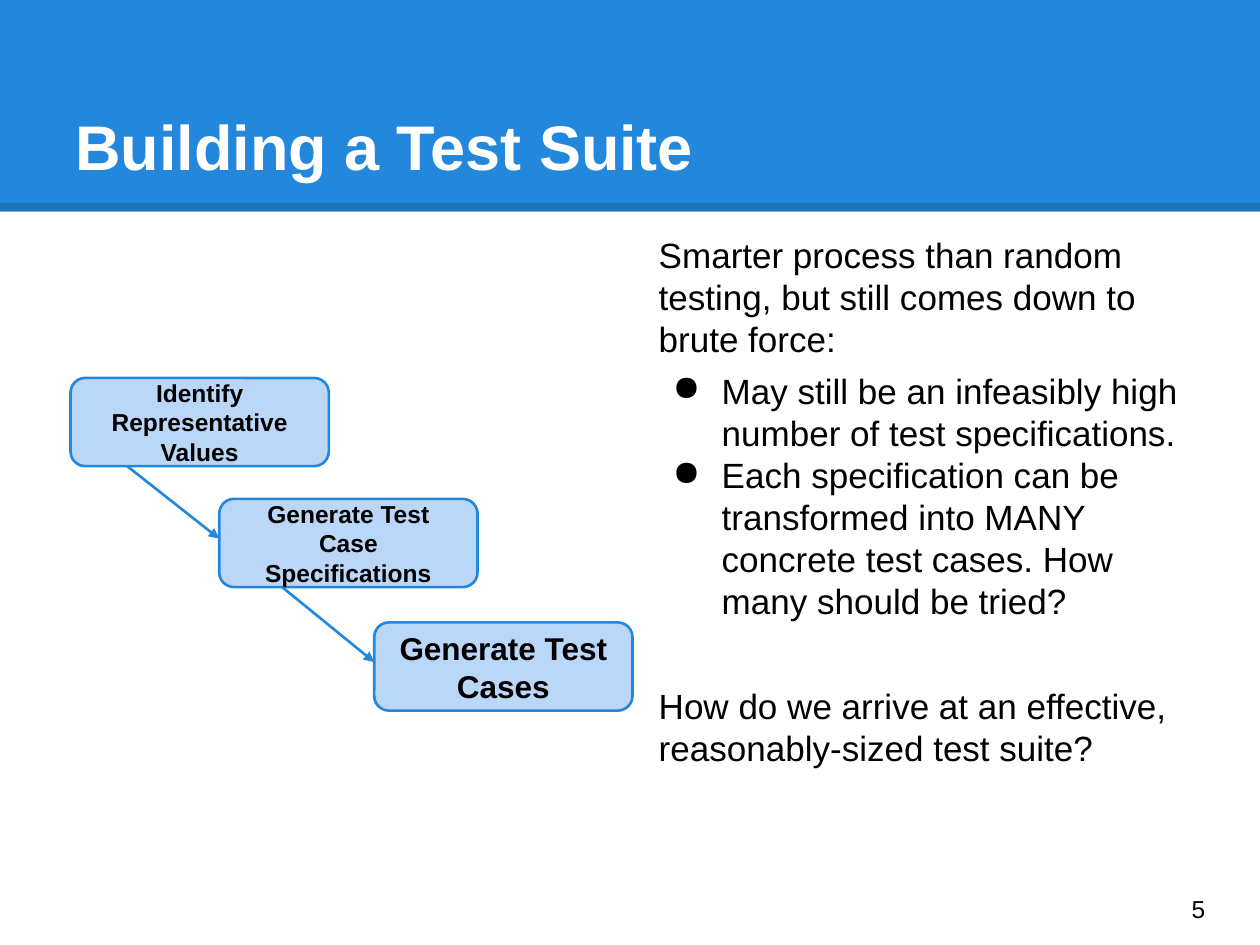
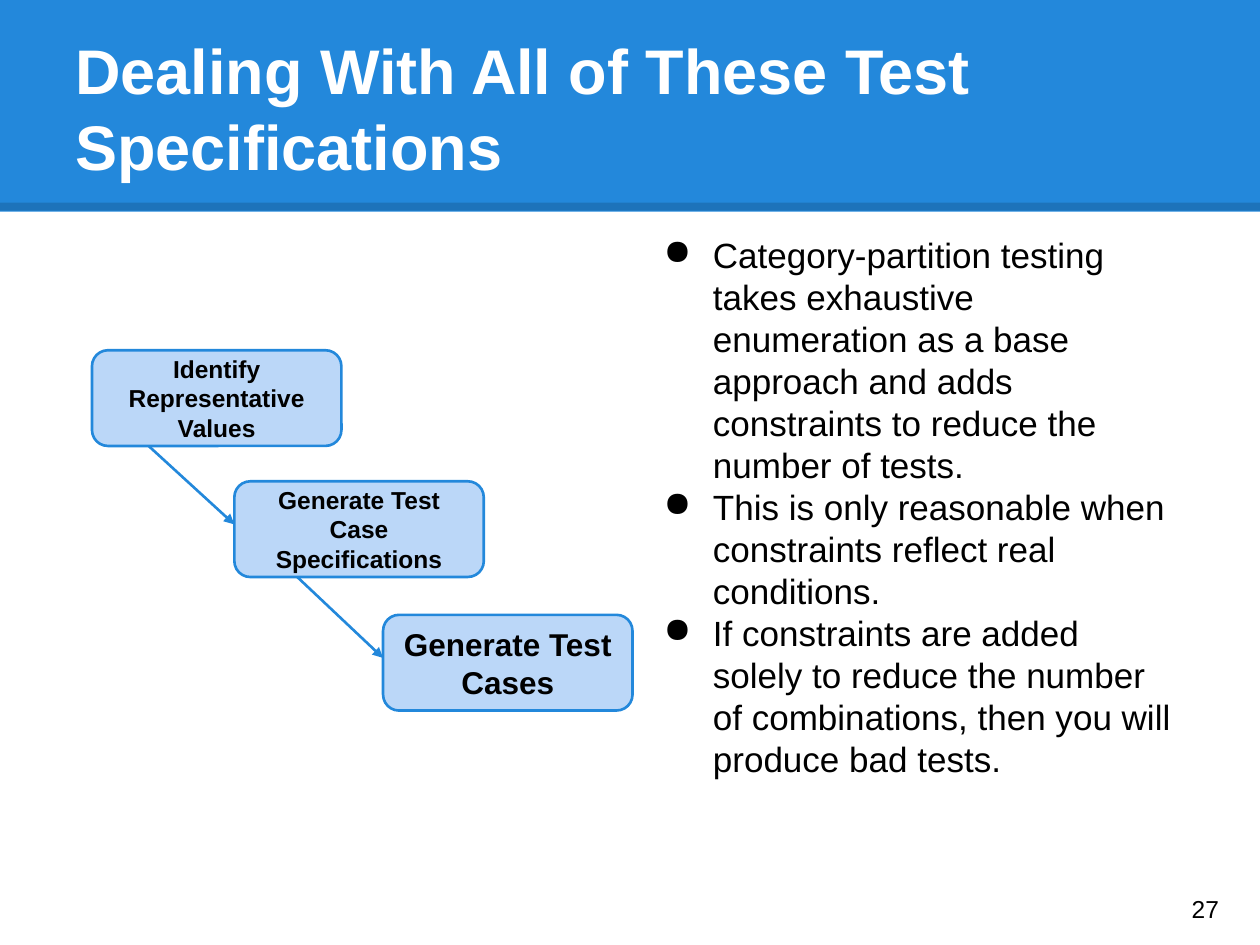
from lxml.etree import SubElement
from pptx import Presentation
from pptx.dml.color import RGBColor
from pptx.enum.shapes import MSO_CONNECTOR, MSO_SHAPE
from pptx.enum.text import MSO_ANCHOR, PP_ALIGN
from pptx.oxml.ns import qn
from pptx.util import Emu, Pt

# Shared look: 100 px to the inch
EMU_PER_PX = 9144
SLIDE_WIDTH, SLIDE_HEIGHT = 1000, 750
FONT = "Arial"
BLUE = RGBColor(0x23, 0x88, 0xDB)
PALE_BLUE = RGBColor(0xBB, 0xD7, 0xF8)
BLACK = RGBColor(0, 0, 0)
WHITE = RGBColor(0xFF, 0xFF, 0xFF)

# Process steps: label and text size
STEPS = [
    ("Identify Representative Values", 14),
    ("Generate Test Case Specifications", 14),
    ("Generate Test Cases", 18),
]
ARROW_OFFSETS = (45, 50)  # from the left edge of the step an arrow leaves
ARROW_ENTRY = 0.45        # share of the height of the step it enters


def px(length):
    return Emu(round(length * EMU_PER_PX))


def style_frame(text_frame, anchor):
    text_frame.word_wrap = True
    text_frame.vertical_anchor = anchor
    text_frame.margin_left = text_frame.margin_right = px(10)
    text_frame.margin_top = text_frame.margin_bottom = px(10)


def write(paragraph, text, size, color=BLACK, bold=False):
    paragraph.text = text
    for run in paragraph.runs:
        run.font.name = FONT
        run.font.size = Pt(size)
        run.font.bold = bold
        run.font.color.rgb = color


def add_text_box(slide, left, top, width, height, anchor=MSO_ANCHOR.TOP):
    box = slide.shapes.add_textbox(px(left), px(top), px(width), px(height))
    style_frame(box.text_frame, anchor)
    return box.text_frame


def add_line(slide, start, end, color, width):
    line = slide.shapes.add_connector(
        MSO_CONNECTOR.STRAIGHT, *(px(value) for value in (*start, *end)))
    line.line.color.rgb = color
    line.line.width = Pt(width)
    SubElement(line._element.spPr, qn("a:effectLst"))
    return line


def add_arrow(slide, start, end):
    arrow = add_line(slide, start, end, BLUE, 1.5)
    SubElement(arrow.line._get_or_add_ln(), qn("a:tailEnd"), type="triangle")


def add_header(slide, title):
    band = slide.shapes.add_shape(
        MSO_SHAPE.RECTANGLE, 0, 0, px(SLIDE_WIDTH), px(168))
    band.shadow.inherit = False
    band.fill.solid()
    band.fill.fore_color.rgb = BLUE
    band.line.fill.background()

    # Translucent rule along the foot of the band
    rule = add_line(slide, (0, 164), (SLIDE_WIDTH, 164), BLACK, 4.5)
    color = rule.line._get_or_add_ln().find(".//" + qn("a:srgbClr"))
    SubElement(color, qn("a:alpha"), val="15000")

    text_frame = add_text_box(slide, 50, 30, 900, 125, MSO_ANCHOR.BOTTOM)
    write(text_frame.paragraphs[0], title, 36, WHITE, bold=True)


def add_step(slide, left, top, width, height, label, size):
    step = slide.shapes.add_shape(
        MSO_SHAPE.ROUNDED_RECTANGLE, px(left), px(top), px(width), px(height))
    step.adjustments[0] = 0.167
    step.shadow.inherit = False
    step.fill.solid()
    step.fill.fore_color.rgb = PALE_BLUE
    step.line.color.rgb = BLUE
    step.line.width = Pt(1.5)
    style_frame(step.text_frame, MSO_ANCHOR.MIDDLE)
    paragraph = step.text_frame.paragraphs[0]
    paragraph.alignment = PP_ALIGN.CENTER
    write(paragraph, label, size, bold=True)


def add_process(slide, corners, width, height):
    for (left, top), (label, size) in zip(corners, STEPS):
        add_step(slide, left, top, width, height, label, size)
    for (left, top), (next_left, next_top), offset in zip(
            corners, corners[1:], ARROW_OFFSETS):
        add_arrow(slide, (left + offset, top + height),
                  (next_left, next_top + ARROW_ENTRY * height))


def add_bullet(paragraph):
    properties = paragraph._p.get_or_add_pPr()
    properties.set("marL", str(px(50)))
    properties.set("indent", str(px(-39)))
    color = SubElement(properties, qn("a:buClr"))
    SubElement(color, qn("a:srgbClr"), val=str(BLACK))
    SubElement(properties, qn("a:buChar"), char="●")


def add_body(slide, left, items):
    """Each item is (text, has bullet, points of space before)."""
    text_frame = add_text_box(slide, left, 175, 437, 543)
    for index, (text, has_bullet, space_before) in enumerate(items):
        paragraph = (text_frame.add_paragraph() if index
                     else text_frame.paragraphs[0])
        paragraph.space_before = Pt(space_before)
        if has_bullet:
            add_bullet(paragraph)
        write(paragraph, text, 20)


def add_page_number(slide, number):
    text_frame = add_text_box(slide, 936, 693, 60, 57, MSO_ANCHOR.MIDDLE)
    write(text_frame.paragraphs[0], str(number), 14)


def add_process_slide(presentation, title, number, corners, step_size,
                      body_left, items):
    slide = presentation.slides.add_slide(presentation.slide_layouts[6])
    add_header(slide, title)
    add_process(slide, corners, *step_size)
    add_body(slide, body_left, items)
    add_page_number(slide, number)


def main():
    presentation = Presentation()
    presentation.slide_width = px(SLIDE_WIDTH)
    presentation.slide_height = px(SLIDE_HEIGHT)

    # Building a test suite
    add_process_slide(
        presentation, "Building a Test Suite", 5,
        [(56, 300), (174, 396), (297, 494)], (205, 70), 513,
        [
            ("Smarter process than random testing, but still comes down to "
             "brute force:", False, 0),
            ("May still be an infeasibly high number of test "
             "specifications.", True, 6),
            ("Each specification can be transformed into MANY concrete test "
             "cases. How many should be tried?", True, 0),
            ("How do we arrive at an effective, reasonably-sized test "
             "suite?", False, 36),
        ])

    # Reducing the specifications
    add_process_slide(
        presentation, "Dealing With All of These Test Specifications", 27,
        [(73, 278), (186, 382), (304, 488)], (198, 76), 506,
        [
            ("Category-partition testing takes exhaustive enumeration as a "
             "base approach and adds constraints to reduce the number of "
             "tests.", True, 0),
            ("This is only reasonable when constraints reflect real "
             "conditions.", True, 0),
            ("If constraints are added solely to reduce the number of "
             "combinations, then you will produce bad tests.", True, 0),
        ])

    presentation.save("out.pptx")


if __name__ == "__main__":
    main()
